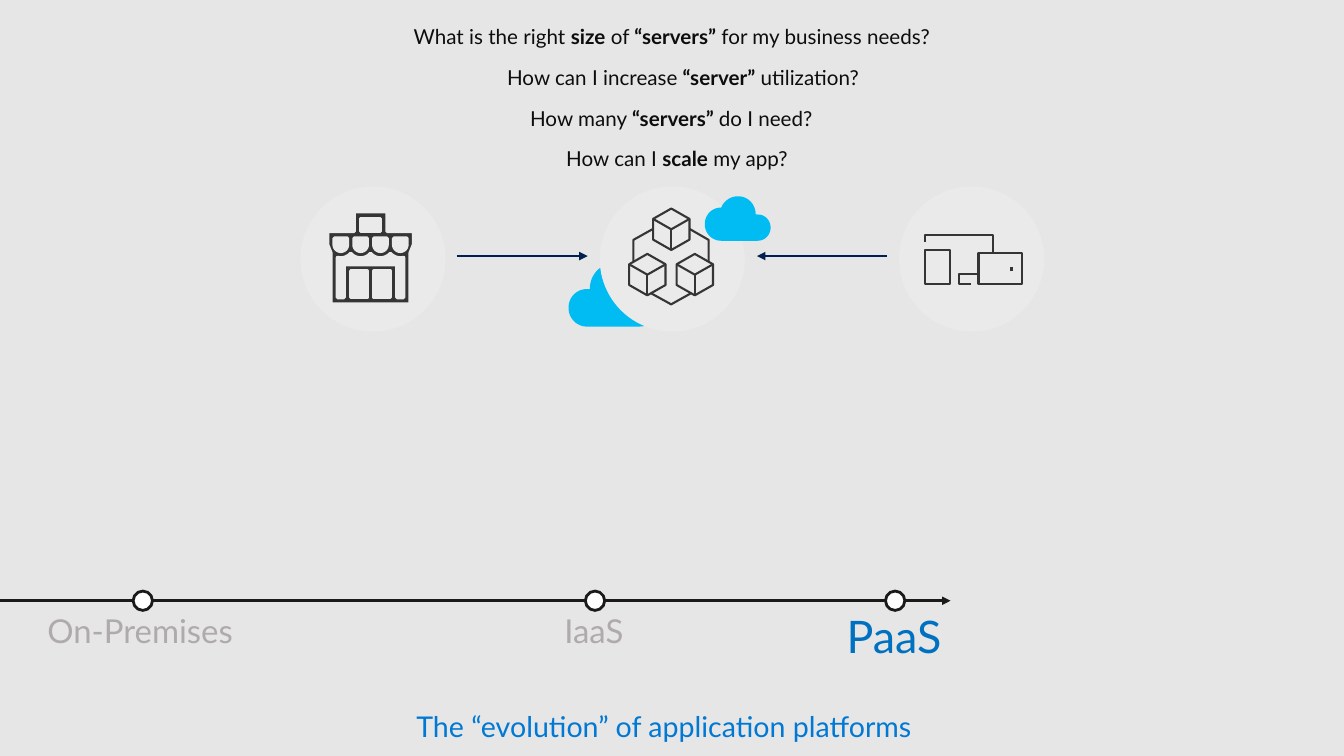
import math
from lxml import etree
from pptx import Presentation
from pptx.dml.color import RGBColor
from pptx.enum.shapes import MSO_CONNECTOR, MSO_SHAPE
from pptx.enum.text import MSO_ANCHOR, MSO_AUTO_SIZE, PP_ALIGN
from pptx.oxml.ns import qn
from pptx.util import Pt

OVAL, RECTANGLE, STRAIGHT = MSO_SHAPE.OVAL, MSO_SHAPE.RECTANGLE, MSO_CONNECTOR.STRAIGHT
LEFT, CENTER, MIDDLE = PP_ALIGN.LEFT, PP_ALIGN.CENTER, MSO_ANCHOR.MIDDLE
NO_FIT, GROW = MSO_AUTO_SIZE.NONE, MSO_AUTO_SIZE.SHAPE_TO_FIT_TEXT

FONT = "Lato"
COLORS = {
    "background": "E6E6E6", "disc": "EAEAEA", "icon": "353535", "cloud": "00BCF2",
    "arrow": "002050", "timeline": "1A1A1A", "marker": "FFFFFF", "past": "AFABAB",
    "current": "0070C0", "question": "0D0D0D", "title": "0078D4",
}
TIMELINE_Y = 429.1
# Cloud outline from its left top corner: start, then Bezier segments
CLOUD_WIDTH = 67.2
CLOUD_START = (15.2, 18.6)
CLOUD_CURVES = [
    [(15.2, 8), (23.2, 0), (33.2, 0)],
    [(41, 0), (47.6, 4.7), (50.4, 11.5)],
    [(59.8, 11.5), (67.2, 19), (67.2, 28.4)],
    [(67.2, 37.9), (59.8, 45.4), (50.4, 45.4)],
    [(50.4, 45.4), (13.2, 45.4), (13.2, 45.4)],
    [(5.8, 45.4), (0, 39.4), (0, 32)],
    [(0, 24.4), (5.8, 18.6), (13.2, 18.6)],
]
QUESTIONS = [  # left, width, runs as (text, bold)
    (259.9, 439.9, [("What is the right ", False), ("size", True), (" of ", False),
                    ("“servers”", True), (" for my business needs?", False)]),
    (329.8, 316.1, [("How can I increase", False), (" “server”", True), (" utilization?", False)]),
    (330.5, 298.1, [("How many ", False), ("“servers” ", True), ("do I need?", False)]),
    (391, 185, [("How can I ", False), ("scale", True), (" my app?", False)]),
]


def color(name):
    return RGBColor.from_string(COLORS[name])


def style(shape, fill=None, line=None, line_width=1.5):
    shape.shadow.inherit = False
    shape.fill.background()
    shape.line.fill.background()
    if fill:
        shape.fill.solid()
        shape.fill.fore_color.rgb = color(fill)
    if line:
        shape.line.color.rgb = color(line)
        shape.line.width = Pt(line_width)


def add_preset(shapes, kind, left, top, width, height, **look):
    style(shapes.add_shape(kind, Pt(left), Pt(top), Pt(width), Pt(height)), **look)


def add_outline(shapes, contours, closed=True, **look):
    contours = [[(Pt(x), Pt(y)) for x, y in points] for points in contours]
    builder = shapes.build_freeform(*contours[0][0], scale=1.0)
    for index, points in enumerate(contours):
        if index:
            builder.move_to(*points[0])
        builder.add_line_segments(points[1:], close=closed)
    style(builder.convert_to_shape(), **look)


def add_line(shapes, start, end, line, width, arrow=False):
    connector = shapes.add_connector(STRAIGHT, *(Pt(value) for value in (*start, *end)))
    connector.line.color.rgb = color(line)
    connector.line.width = Pt(width)
    properties = connector._element.spPr
    if arrow:
        etree.SubElement(properties.find(qn("a:ln")), qn("a:tailEnd"), type="triangle")
    etree.SubElement(properties, qn("a:effectLst"))


def format_text(frame, runs, size, font_color, align):
    paragraph = frame.paragraphs[0]
    paragraph.alignment = align
    for text, bold in runs:
        run = paragraph.add_run()
        run.text = text
        run.font.name, run.font.size, run.font.bold = FONT, Pt(size), bold
        run.font.color.rgb = color(font_color)
    return paragraph


def add_text_frame(slide, left, top, width, height, wrap):
    frame = slide.shapes.add_textbox(Pt(left), Pt(top), Pt(width), Pt(height)).text_frame
    frame.word_wrap = wrap
    frame.auto_size = GROW
    return frame


def add_stage_label(slide, left, width, height, text, size, font_color):
    frame = add_text_frame(slide, left, 427.7, width, height, False)
    frame.margin_left = frame.margin_right = Pt(14.4)
    frame.margin_top = frame.margin_bottom = Pt(11.5)
    paragraph = format_text(frame, [(text, False)], size, font_color, LEFT)
    paragraph.line_spacing = 0.9
    paragraph.space_after = Pt(5.9)


def add_title(slide, text):
    title = slide.shapes.title
    title.left, title.top, title.width, title.height = Pt(290.2), Pt(509), Pt(373.7), Pt(25.2)
    title.text_frame.auto_size = NO_FIT
    title.text_frame.vertical_anchor = MIDDLE
    format_text(title.text_frame, [(text, False)], 20.4, "title", LEFT).line_spacing = 0.7


def bezier(*corners, steps=16):
    for t in (step / steps for step in range(1, steps + 1)):
        weights = ((1 - t) ** 3, 3 * t * (1 - t) ** 2, 3 * t * t * (1 - t), t ** 3)
        yield tuple(sum(w * p[axis] for w, p in zip(weights, corners)) for axis in (0, 1))


def add_cloud(slide, left, top, scale=1.0, mirrored=False):
    points = [CLOUD_START]
    for curve in CLOUD_CURVES:
        points.extend(bezier(points[-1], *curve))
    if mirrored:
        points = [(CLOUD_WIDTH - x, y) for x, y in points]
    add_outline(slide.shapes, [[(left + scale * x, top + scale * y) for x, y in points]], fill="cloud")


def add_disc_group(slide, left):
    shapes = slide.shapes.add_group_shape().shapes
    add_preset(shapes, OVAL, left, 133.2, 103.7, 103.7, fill="disc")
    return shapes


def add_store(slide):
    # Shop front on a grid of 13 by 14 units
    unit, left, top = 4.72, 234, 151.2
    wall = [(0.5, 14), (12.5, 14), (12.5, 6.25), (13, 5), (13, 3), (9, 3), (9, 0),
            (4, 0), (4, 3), (0, 3), (0, 5), (0.5, 6.25)]
    # Inner wall: scalloped top edge, then around the door frame
    inner = []
    for x in (1.5 + step / 4 for step in range(41)):
        center = 2 + 3 * min(3, int((x - 0.5) / 3))
        inner.append((x, 5 + math.sqrt(4 - (x - center) ** 2)))
    inner += [(11.5, 13), (10.5, 13), (10.5, 8), (2.5, 8), (2.5, 13), (1.5, 13)]
    angles = [math.pi * step / 12 for step in range(13)]
    awnings = [[(x - 1, 4), (x + 1, 4)] + [(x + math.cos(a), 5 + math.sin(a)) for a in angles]
               for x in (2, 5, 8, 11)]
    openings = [[(x1, y1), (x2, y1), (x2, y2), (x1, y2)] for x1, y1, x2, y2 in
                ((3.5, 9, 6, 13), (7, 9, 9.5, 13), (5, 1, 8, 3))]
    contours = [[(left + unit * x, top + unit * y) for x, y in points]
                for points in [wall, inner] + awnings + openings]
    add_outline(add_disc_group(slide, 214.6), contours, fill="icon", line="disc", line_width=2.5)


def add_cube(shapes, x, top):
    left, right = x - 13, x + 13
    shoulder, middle, foot, bottom = top + 7.4, top + 14.8, top + 22.2, top + 29.6
    add_outline(shapes, [[(left, shoulder), (x, top), (right, shoulder),
                          (right, foot), (x, bottom), (left, foot)]], line="icon")
    add_outline(shapes, [[(right, shoulder), (x, middle), (left, shoulder)]], False, line="icon")
    add_line(shapes, (x, middle), (x, bottom), "icon", 1.5)


def add_servers(slide):
    shapes = add_disc_group(slide, 428.4)
    for x, top in ((479.5, 149), (462.4, 181.4), (496.3, 181.4)):
        add_cube(shapes, x, top)
    for link in ([(465.4, 209.7), (479.4, 217.4), (493.2, 209.7)],
                 [(492.5, 163.5), (506.2, 171.4), (506.2, 187.2)],
                 [(452.4, 187.2), (452.4, 171.4), (466.5, 163.5)]):
        add_outline(shapes, [link], False, line="icon")


def add_devices(slide):
    shapes = add_disc_group(slide, 642.2)
    add_preset(shapes, RECTANGLE, 660.8, 178.6, 17.6, 24.3, line="icon")
    add_preset(shapes, RECTANGLE, 699, 180.7, 31, 22, line="icon")
    add_line(shapes, (722.4, 193.6), (722.4, 190.8), "icon", 2)
    for edge in ([(699, 195.6), (685.2, 195.6), (685.2, 202.7), (693.8, 202.7)],
                 [(660.8, 172.8), (660.8, 167.8), (709.2, 167.8), (709.2, 180.7)]):
        add_outline(shapes, [edge], False, line="icon")


def add_timeline(slide):
    add_line(slide.shapes, (-0.7, TIMELINE_Y), (679, TIMELINE_Y), "timeline", 2, True)
    for x in (102, 425, 639.4):
        add_preset(slide.shapes, OVAL, x - 6.9, TIMELINE_Y - 6.9, 13.8, 13.8,
                   fill="marker", line="timeline", line_width=2)
    add_stage_label(slide, 19.4, 162, 48.2, "On-Premises", 23.5, "past")
    add_stage_label(slide, 388.8, 72, 48.2, "IaaS", 23.5, "past")
    add_stage_label(slide, 590.4, 96.5, 57.6, "PaaS", 32, "current")


def main():
    presentation = Presentation()
    presentation.slide_width, presentation.slide_height = Pt(960), Pt(540)
    slide = presentation.slides.add_slide(presentation.slide_layouts[5])
    slide.background.fill.solid()
    slide.background.fill.fore_color.rgb = color("background")
    add_title(slide, "The “evolution” of application platforms")
    add_timeline(slide)
    # Icons, with one cloud behind the servers and one in front
    add_cloud(slide, 406.1, 187.9)
    for add_icon in (add_servers, add_store, add_devices):
        add_icon(slide)
    for start, end in ((326.2, 419.8), (633.6, 540.7)):
        add_line(slide.shapes, (start, 182.9), (end, 182.9), "arrow", 2, True)
    add_cloud(slide, 503.4, 140.2, 0.7, mirrored=True)
    # Questions, evenly spaced from the top
    for row, (left, width, runs) in enumerate(QUESTIONS):
        frame = add_text_frame(slide, left, 13.6 + 29.1 * row, width, 25, True)
        format_text(frame, runs, 14.7, "question", CENTER)
    presentation.save("out.pptx")


if __name__ == "__main__":
    main()
